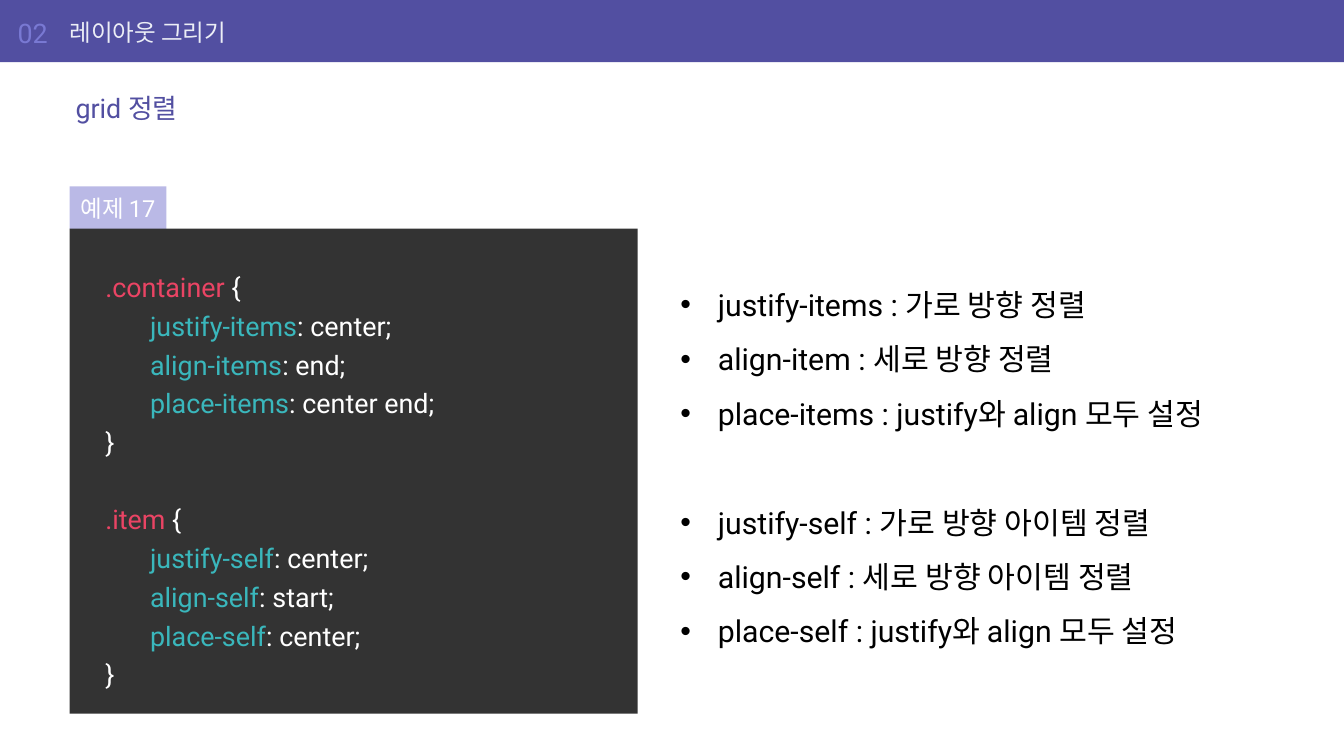
from lxml.etree import SubElement
from pptx import Presentation
from pptx.dml.color import RGBColor
from pptx.enum.shapes import MSO_SHAPE
from pptx.enum.text import MSO_ANCHOR, PP_ALIGN
from pptx.oxml.ns import qn
from pptx.util import Inches, Pt

FONT = "Roboto"
PURPLE, WHITE, BLACK = "524FA1", "FFFFFF", "000000"
SELECTOR, PROPERTY = "EA4464", "3AB7BC"

HEADINGS = [
    ("02", (0.29, 0.15, 0.87, 0.77), 0, 32, "7979D3"),
    ("레이아웃 그리기", (1.15, 0.15, 18.78, 0.77), 0, 28, "ECEEF6"),
    ("grid 정렬", (1.15, 1.4, 19.92, 0.77), 0.1, 32, PURPLE),
]
RULES = [
    (".container", [("justify-items", "center"), ("align-items", "end"),
                    ("place-items", "center end")]),
    (".item", [("justify-self", "center"), ("align-self", "start"),
               ("place-self", "center")]),
]
NOTES = [
    ["justify-items : 가로 방향 정렬",
     "align-item : 세로 방향 정렬",
     "place-items : justify와 align 모두 설정"],
    ["justify-self : 가로 방향 아이템 정렬",
     "align-self : 세로 방향 아이템 정렬",
     "place-self : justify와 align 모두 설정"],
]


def rgb(color):
    return RGBColor.from_string(color)


def add_rect(s, box, color):
    sp = s.shapes.add_shape(MSO_SHAPE.RECTANGLE, *map(Inches, box))
    sp.shadow.inherit = False
    sp.fill.solid()
    sp.fill.fore_color.rgb = rgb(color)
    sp.line.fill.background()
    return sp


def set_frame(sp, insets, anchor, wrap=True):
    tf = sp.text_frame
    tf.word_wrap = wrap
    tf.vertical_anchor = anchor
    tf.margin_left, tf.margin_top, tf.margin_right, tf.margin_bottom = map(Inches, insets)
    return tf


def next_paragraph(tf):
    p = tf.paragraphs[0] if not tf.paragraphs[0].runs else tf.add_paragraph()
    p.alignment = PP_ALIGN.LEFT
    return p


def add_run(p, text, size, color):
    r = p.add_run()
    r.text = text
    r.font.name = FONT
    r.font.size = Pt(size)
    r.font.color.rgb = rgb(color)


def add_code_line(tf, parts, gap=0):
    p = next_paragraph(tf)
    tabs = SubElement(p._p.get_or_add_pPr(), qn("a:tabLst"))
    SubElement(tabs, qn("a:tab"), pos=str(Inches(0.74)), algn="l")
    p.line_spacing = 1.2
    if gap:
        p.space_before = Pt(gap)
    for text, color in parts:
        add_run(p, text, 32, color)


def add_bullet(tf, text, gap=0):
    p = next_paragraph(tf)
    pPr = p._p.get_or_add_pPr()
    pPr.set("marL", str(Inches(0.62)))
    pPr.set("indent", str(-Inches(0.62)))
    SubElement(pPr, qn("a:buFont"), typeface="Arial")
    SubElement(pPr, qn("a:buChar"), char="•")
    p.line_spacing = 1.5
    if gap:
        p.space_before = Pt(gap)
    add_run(p, text, 36, BLACK)


def main():
    prs = Presentation()
    prs.slide_width, prs.slide_height = Inches(22.22), Inches(12.5)
    s = prs.slides.add_slide(prs.slide_layouts[6])

    add_rect(s, (0, 0, 22.22, 1.03), PURPLE)
    for text, box, left, size, color in HEADINGS:
        sp = s.shapes.add_textbox(*map(Inches, box))
        tf = set_frame(sp, (left, 0.05, 0.1, 0.05), MSO_ANCHOR.MIDDLE)
        add_run(next_paragraph(tf), text, size, color)

    label = add_rect(s, (1.15, 3.08, 1.6, 0.71), "BAB9E6")
    tf = set_frame(label, (0.1, 0.12, 0.1, 0.12), MSO_ANCHOR.MIDDLE)
    p = next_paragraph(tf)
    p.alignment = PP_ALIGN.CENTER
    add_run(p, "예제 17", 28, WHITE)

    code = add_rect(s, (1.15, 3.78, 9.39, 8.02), "333333")
    tf = set_frame(code, (0.59,) * 4, MSO_ANCHOR.TOP, wrap=False)
    for i, (selector, declarations) in enumerate(RULES):
        add_code_line(tf, [(selector, SELECTOR), (" {", WHITE)], gap=46 * i)
        for name, value in declarations:
            add_code_line(tf, [("\t", WHITE), (name, PROPERTY), (f": {value};", WHITE)])
        add_code_line(tf, [("}", WHITE)])

    notes = s.shapes.add_textbox(*map(Inches, (11.15, 4.38, 9.92, 7)))
    tf = set_frame(notes, (0.1, 0.05, 0.1, 0.05), MSO_ANCHOR.TOP)
    for i, group in enumerate(NOTES):
        for j, text in enumerate(group):
            add_bullet(tf, text, gap=65 * i if j == 0 else 0)

    prs.save("out.pptx")


if __name__ == "__main__":
    main()
